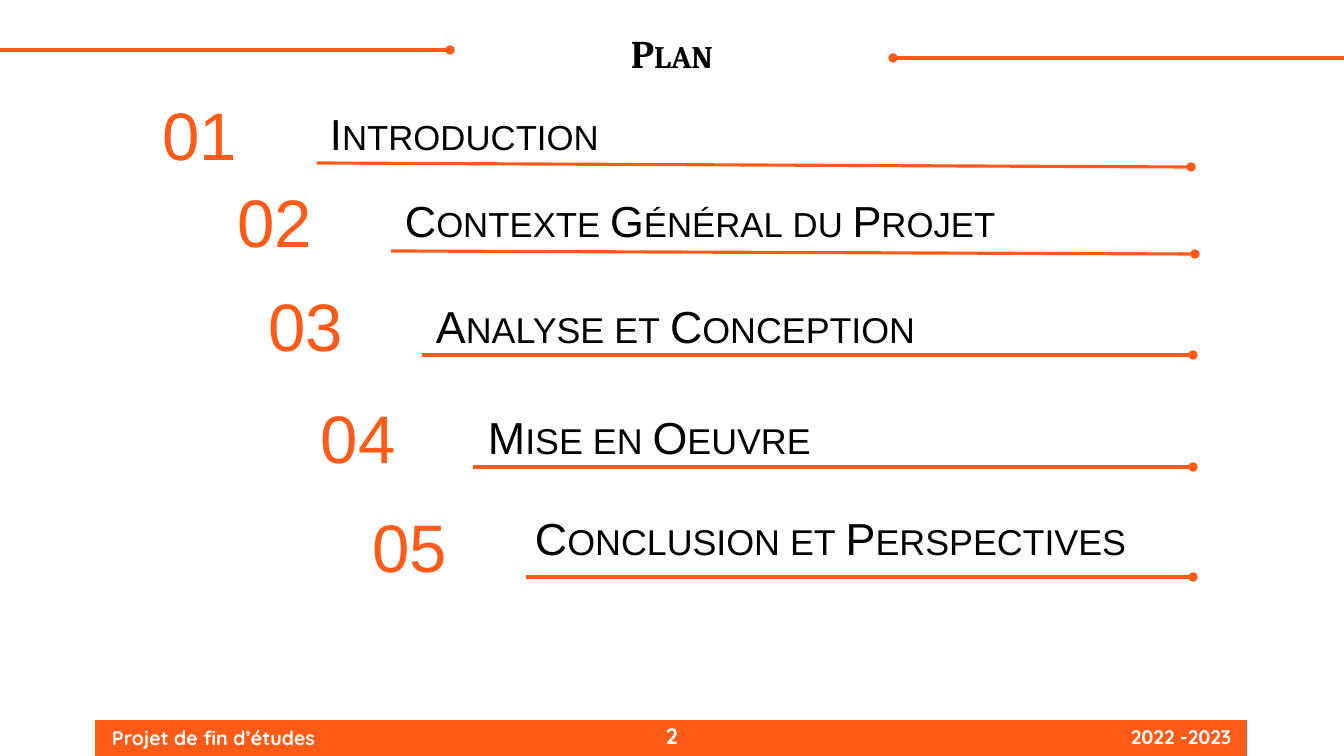
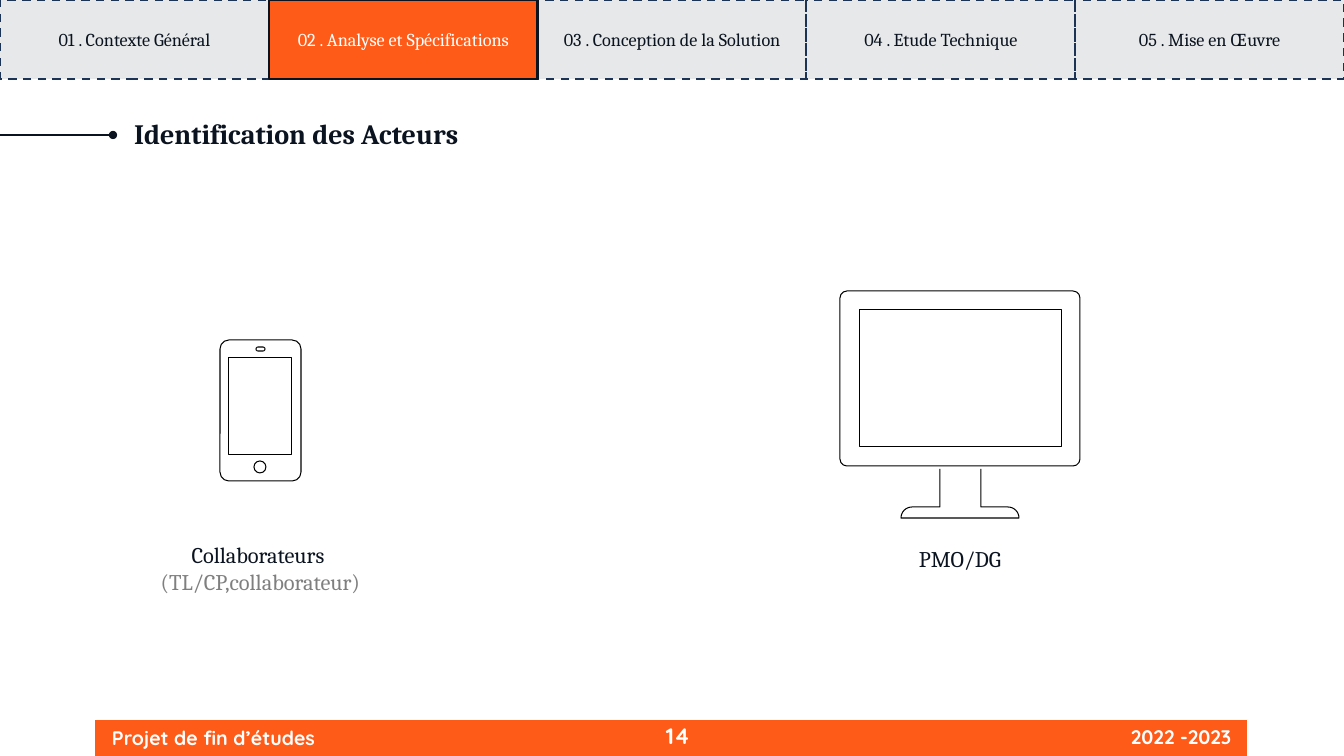
"""Build an agenda slide and an actors slide that share one footer."""
from math import cos, pi, sin

from lxml.etree import SubElement
from pptx import Presentation
from pptx.dml.color import RGBColor
from pptx.enum.dml import MSO_LINE
from pptx.enum.shapes import MSO_CONNECTOR, MSO_SHAPE
from pptx.enum.text import MSO_ANCHOR, PP_ALIGN
from pptx.oxml.ns import qn
from pptx.util import Pt

PX = 914400 / 100.8
WIDTH, HEIGHT = 1344, 756
COLORS = {
    "orange": "FE5B18",
    "ink": "0A131F",
    "navy": "1B3455",
    "tab": "E7E8E9",
    "gray": "7F7F7F",
    "black": "000000",
    "white": "FFFFFF",
}
RGB = {name: RGBColor.from_string(value) for name, value in COLORS.items()}


def add_box(slide, left, top, width, height, text="", kind=None, fill=None, line=None,
            weight=0.75, dash=None, font="Cambria", size=16, color="ink", bold=False,
            small_caps=False, align=PP_ALIGN.LEFT, anchor=MSO_ANCHOR.TOP,
            inset=(10, 5), spacing=1.0):
    """Add a text box, or a preset shape when kind is given, with its format."""
    frame = [round(value * PX) for value in (left, top, width, height)]
    if kind is None:
        shape = slide.shapes.add_textbox(*frame)
    else:
        shape = slide.shapes.add_shape(kind, *frame)
        shape.shadow.inherit = False
    if fill:
        shape.fill.solid()
        shape.fill.fore_color.rgb = RGB[fill]
    else:
        shape.fill.background()
    if line:
        shape.line.color.rgb = RGB[line]
        shape.line.width = Pt(weight)
        shape.line.dash_style = dash
    else:
        shape.line.fill.background()
    if text:
        text_frame = shape.text_frame
        text_frame.word_wrap = True
        text_frame.vertical_anchor = anchor
        text_frame.margin_left = text_frame.margin_right = round(inset[0] * PX)
        text_frame.margin_top = text_frame.margin_bottom = round(inset[1] * PX)
        text_frame.text = text
        for paragraph in text_frame.paragraphs:
            paragraph.alignment = align
            paragraph.line_spacing = spacing
            run = paragraph.runs[0]
            run.font.name, run.font.size, run.font.bold = font, Pt(size), bold
            run.font.color.rgb = RGB[color]
            if small_caps:
                run.font._element.set("cap", "small")
    return shape


def add_dotted_line(slide, start, end, color="orange", weight=2.25):
    """Add a straight line that ends in a round dot."""
    points = [round(value * PX) for value in (*start, *end)]
    connector = slide.shapes.add_connector(MSO_CONNECTOR.STRAIGHT, *points)
    connector.line.color.rgb = RGB[color]
    connector.line.width = Pt(weight)
    SubElement(connector.line._get_or_add_ln(), qn("a:tailEnd"), type="oval")
    SubElement(connector._element.spPr, qn("a:effectLst"))


presentation = Presentation()
presentation.slide_width = round(WIDTH * PX)
presentation.slide_height = round(HEIGHT * PX)

slides = []
for page_number in ("2", "14"):
    slide = presentation.slides.add_slide(presentation.slide_layouts[6])
    add_box(slide, 95, 720, 1152, 36, kind=MSO_SHAPE.RECTANGLE, fill="orange")
    for left, top, width, text, size in (
        (102, 721, 257, "Projet de fin d’études", 14),
        (656, 717, 65, page_number, 16),
        (1121, 720, 140, "2022 -2023", 14),
    ):
        add_box(slide, left, top, width, 35, text, font="Quicksand", size=size,
                color="white", bold=True)
    slides.append(slide)
agenda, actors = slides

add_dotted_line(agenda, (0, 50), (450, 50))
add_dotted_line(agenda, (WIDTH, 58), (893, 58))
add_box(agenda, 442, 35, 460, 42, "Plan", size=28, color="black", bold=True,
        small_caps=True, align=PP_ALIGN.CENTER, inset=(0, 0), spacing=0.9)

AGENDA_ROWS = (
    ("Introduction", 31, (138, 89), (317, 100), (317, 163), (1191, 167)),
    ("Contexte Général du Projet", 31, (213, 176), (392, 187), (391, 251), (1195, 254)),
    ("Analyse et Conception", 32, (244, 280), (423, 292), (422, 355), (1193, 355)),
    ("Mise en Oeuvre", 32, (296, 392), (475, 403), (473, 467), (1193, 467)),
    ("Conclusion et Perspectives", 32, (348, 501), (522, 504), (526, 577), (1193, 577)),
)
for index, (text, size, number_at, text_at, start, end) in enumerate(AGENDA_ROWS, 1):
    add_box(agenda, *number_at, 124, 86, f"{index:02}", font="Arial", size=48,
            color="orange", align=PP_ALIGN.CENTER, inset=(13, 13), spacing=0.9)
    add_box(agenda, *text_at, 744, 65, text, font="Arial", size=size, color="black",
            small_caps=True, inset=(13, 13), spacing=0.9)
    add_dotted_line(agenda, start, end)

TABS = ("Contexte Général", "Analyse et Spécifications", "Conception de la Solution",
        "Etude Technique", "Mise en Œuvre")
ACTIVE_TAB = 1
tab_width = WIDTH / len(TABS)
add_box(actors, 0, 0, WIDTH, 79, kind=MSO_SHAPE.RECTANGLE, fill="tab")
for index in sorted(range(len(TABS)), key=lambda position: position == ACTIVE_TAB):
    active = index == ACTIVE_TAB
    add_box(actors, index * tab_width, 0, tab_width, 79, f"{index + 1:02} . {TABS[index]}",
            kind=MSO_SHAPE.RECTANGLE, fill="orange" if active else None,
            line="ink" if active else "navy", weight=1.5,
            dash=None if active else MSO_LINE.DASH, size=13,
            color="white" if active else "ink", align=PP_ALIGN.CENTER,
            anchor=MSO_ANCHOR.MIDDLE, inset=(10, 10))

add_dotted_line(actors, (0, 135), (113, 135), color="ink", weight=1.5)
add_box(actors, 134, 120, 1209, 30, "Identification des Acteurs", size=20, bold=True,
        inset=(0, 0), spacing=0.9)

DEVICE_PARTS = (
    (MSO_SHAPE.ROUNDED_RECTANGLE, 220, 340, 81, 141, 0.11),
    (MSO_SHAPE.ROUNDED_RECTANGLE, 256, 347, 9, 4, 0.5),
    (MSO_SHAPE.RECTANGLE, 229, 358, 63, 97, None),
    (MSO_SHAPE.OVAL, 254, 461, 12, 12, None),
    (MSO_SHAPE.ROUNDED_RECTANGLE, 840, 291, 240, 175, 0.04),
    (MSO_SHAPE.RECTANGLE, 860, 310, 202, 137, None),
)
for kind, left, top, width, height, rounding in DEVICE_PARTS:
    part = add_box(actors, left, top, width, height, kind=kind, line="black")
    if rounding:
        part.adjustments[0] = rounding

corner = 11
angles = [step * pi / 16 for step in range(9)]
left_foot = [(912 - corner * sin(a), 518 - corner * cos(a)) for a in angles]
right_foot = [(1008 + corner * cos(a), 518 - corner * sin(a)) for a in angles]
stand_points = [(940, 507), *left_foot, *right_foot, (981, 507), (981, 469)]
builder = actors.shapes.build_freeform(round(940 * PX), round(469 * PX))
builder.add_line_segments([(round(x * PX), round(y * PX)) for x, y in stand_points],
                          close=False)
stand = builder.convert_to_shape()
stand.shadow.inherit = False
stand.fill.background()
stand.line.color.rgb = RGB["black"]
stand.line.width = Pt(0.75)

collaborators = add_box(actors, 77, 536, 367, 65, "Collaborateurs \n(TL/CP,collaborateur)",
                        align=PP_ALIGN.CENTER)
collaborators.text_frame.paragraphs[1].runs[0].font.color.rgb = RGB["gray"]
add_box(actors, 870, 540, 180, 61, "PMO/DG", align=PP_ALIGN.CENTER)

presentation.save("out.pptx")
